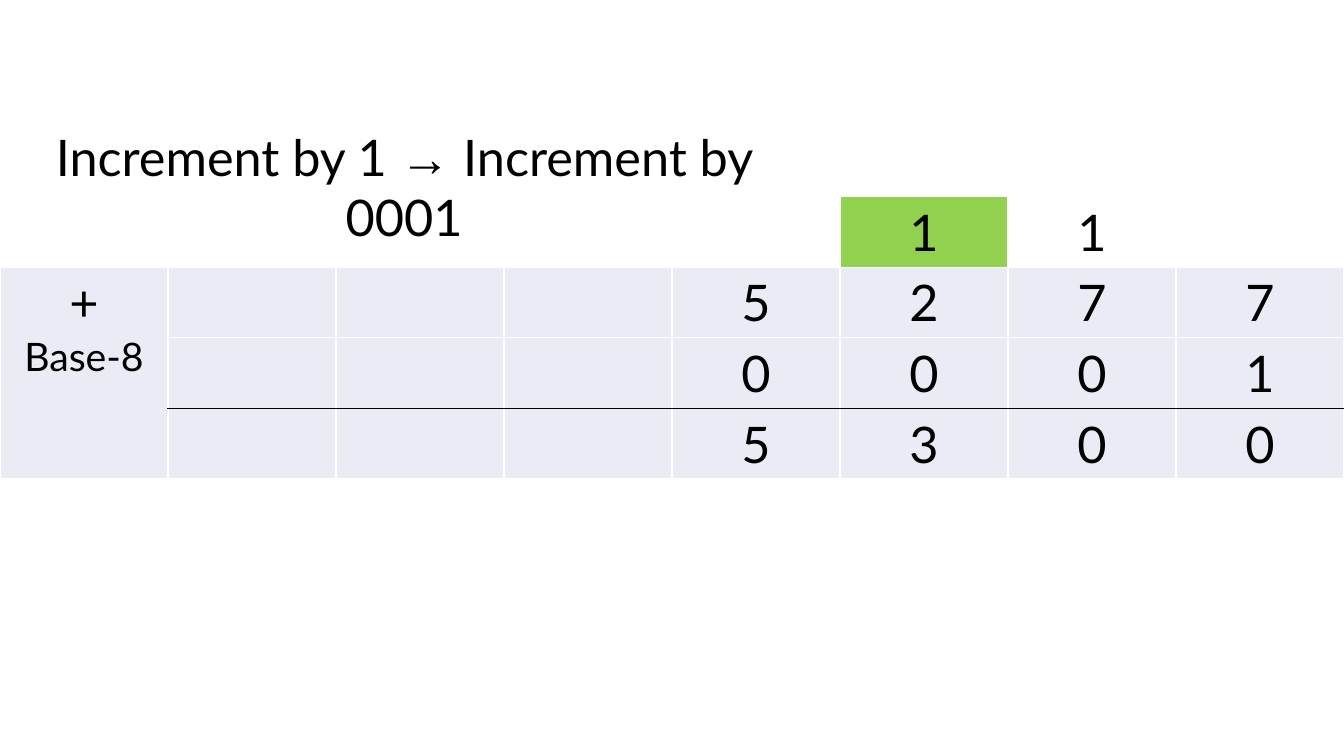
"""Build a slide that adds 0001 to a base-8 number, with its carries."""
import dataclasses

import lxml.etree
import pptx
import pptx.dml.color
import pptx.enum.text
import pptx.oxml.ns
import pptx.table
import pptx.text.text
import pptx.util

WIDE, HIGH = pptx.util.Inches(13.33), pptx.util.Inches(7.5)
COLS, ROWS = 8, 4
COL, ROW = WIDE // COLS, pptx.util.Inches(0.7)
COLOR = {"ink": "000000", "paper": "FFFFFF", "band": "E9EBF5", "carry": "92D050"}


@dataclasses.dataclass(frozen=True)
class Line:
    row: int
    digits: str
    fill: str = "band"
    top: str = "paper"
    base: str = "paper"


LINES = (
    Line(0, "     11 ", fill=""),
    Line(1, "    5277"),
    Line(2, "    0001", base="ink"),
    Line(3, "    5300", top="ink"),
)


def style(par: pptx.text.text._Paragraph, size: int = 36) -> None:
    par.alignment = pptx.enum.text.PP_ALIGN.CENTER
    for run in par.runs:
        run.font.name = "Lato"
        run.font.size = pptx.util.Pt(size)
        run.font.color.rgb = pptx.dml.color.RGBColor.from_string(COLOR["ink"])


def edge(cell: pptx.table._Cell, side: str, color: str) -> None:
    qn = pptx.oxml.ns.qn
    prop = cell._tc.get_or_add_tcPr()
    line = lxml.etree.SubElement(prop, qn(f"a:{side}"), w=str(pptx.util.Pt(1)))
    fill = lxml.etree.SubElement(line, qn("a:solidFill"))
    lxml.etree.SubElement(fill, qn("a:srgbClr"), val=COLOR[color])


def paint(cell: pptx.table._Cell, color: str) -> None:
    if color:
        cell.fill.solid()
        cell.fill.fore_color.rgb = pptx.dml.color.RGBColor.from_string(COLOR[color])
    else:
        cell.fill.background()


def fill_row(table: pptx.table.Table, line: Line) -> None:
    table.rows[line.row].height = ROW
    for col, digit in enumerate(line.digits):
        cell = table.cell(line.row, col)
        sides = {"lnL": "paper", "lnR": "paper", "lnT": line.top, "lnB": line.base}
        for side, color in sides.items():
            edge(cell, side, color if col else "paper")
        paint(cell, "carry" if (line.row, col) == (0, 5) else line.fill)
        cell.text_frame.text = digit.strip()
        style(cell.text_frame.paragraphs[0])


def add_sum(slide: pptx.slide.Slide) -> None:
    frame = slide.shapes.add_table(ROWS, COLS, 0, int(HIGH * 0.26), WIDE, ROW * ROWS)
    table = frame.table
    table.first_row = table.horz_banding = False
    for col in table.columns:
        col.width = COL
    for line in LINES:
        fill_row(table, line)
    sign = table.cell(1, 0)
    sign.merge(table.cell(3, 0))
    sign.text_frame.text = "+\nBase-8"
    for par, size in zip(sign.text_frame.paragraphs, (36, 28)):
        style(par, size)


def add_head(slide: pptx.slide.Slide) -> None:
    box = slide.shapes.add_textbox(0, int(HIGH * 0.16), int(COL * 4.81), ROW)
    box.text_frame.word_wrap = True
    par = box.text_frame.paragraphs[0]
    for text in ("Increment by 1 ", "→", " Increment by 0001"):
        par.add_run().text = text
    style(par)
    par.runs[1].font.name = "Times New Roman"


def main() -> None:
    deck = pptx.Presentation()
    deck.slide_width, deck.slide_height = WIDE, HIGH
    slide = deck.slides.add_slide(deck.slide_layouts[6])
    add_sum(slide)
    add_head(slide)
    deck.save("out.pptx")


if __name__ == "__main__":
    main()
